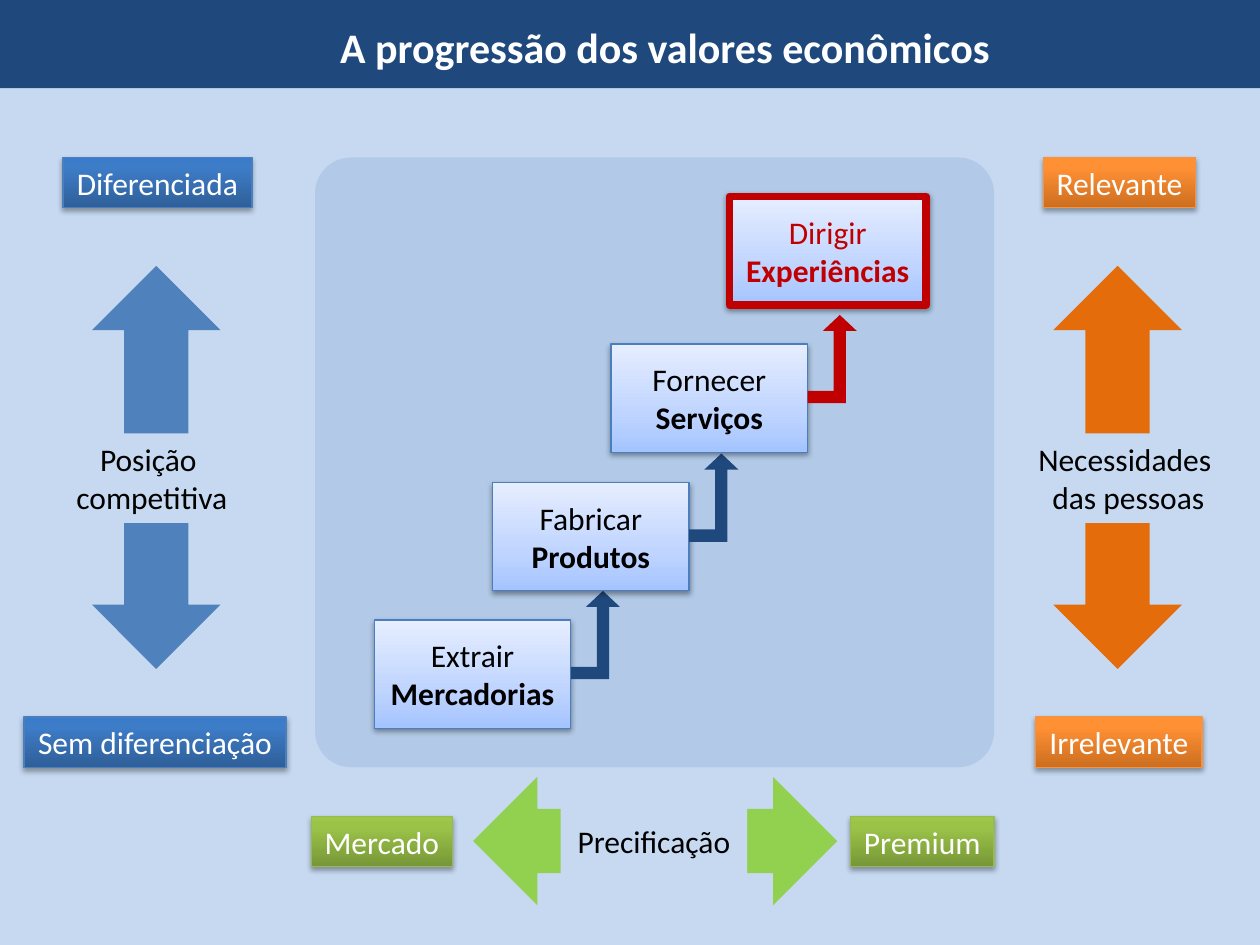
from copy import deepcopy
from dataclasses import dataclass

from lxml import etree
from pptx import Presentation
from pptx.dml.color import RGBColor
from pptx.enum.shapes import MSO_SHAPE as Preset
from pptx.enum.text import MSO_ANCHOR as Anchor, MSO_AUTO_SIZE as AutoSize, PP_ALIGN as Align
from pptx.oxml.ns import qn
from pptx.util import Inches, Pt


@dataclass(frozen=True)
class Theme:
    font: str = "Calibri"
    body_size: float = 18
    title_size: float = 24
    background: str = "C6D9F1"
    navy: str = "1F497D"
    blue: str = "4F81BD"
    green: str = "92D050"
    orange: str = "E46C0A"
    red: str = "C00000"
    black: str = "000000"
    white: str = "FFFFFF"
    step_line: str = "4B7EBC"
    # Gradient stops run from the bottom edge to the top edge
    step_stops: tuple = ((0, "A4C4FF"), (0.35, "BFD4FF"), (1, "E6EEFF"))
    blue_stops: tuple = ((0, "2F5F99"), (0.8, "3D7CC7"), (1, "3A7CCB"))
    green_stops: tuple = ((0, "779737"), (0.8, "9BC348"), (1, "9DC746"))
    orange_stops: tuple = ((0, "CC6E20"), (0.8, "FF9034"), (1, "FF9136"))
    green_line: str = "98B955"
    orange_line: str = "F69240"


THEME = Theme()


def rgb(color):
    return RGBColor.from_string(color)


def add_flat(slide, preset, box, color, adjustments=()):
    """Add a preset shape with a plain fill, no line and no shadow."""
    shape = slide.shapes.add_shape(preset, *map(Inches, box))
    shape.shadow.inherit = False
    shape.fill.solid()
    shape.fill.fore_color.rgb = rgb(color)
    shape.line.fill.background()
    for index, value in enumerate(adjustments):
        shape.adjustments[index] = value
    return shape


def set_opacity(shape, share):
    color = shape.element.spPr.find(qn("a:solidFill"))[0]
    etree.SubElement(color, qn("a:alpha"), val=str(int(share * 100000)))


def set_gradient(shape, stops):
    fill = shape.fill
    fill.gradient()
    stop_list = shape.element.spPr.find(qn("a:gradFill")).find(qn("a:gsLst"))
    while len(stop_list) < len(stops):
        stop_list.append(deepcopy(stop_list[-1]))
    for stop, (position, color) in zip(fill.gradient_stops, stops):
        stop.position = position
        stop.color.rgb = rgb(color)
    fill.gradient_angle = 90


def add_shadow(shape, opacity, distance):
    effects = shape.element.spPr.find(qn("a:effectLst"))
    shadow = etree.SubElement(
        effects, qn("a:outerShdw"), blurRad=str(Pt(3.1)), dist=str(Pt(distance)),
        dir="5400000", rotWithShape="0")
    color = etree.SubElement(shadow, qn("a:srgbClr"), val=THEME.black)
    etree.SubElement(color, qn("a:alpha"), val=str(opacity * 1000))


def write(shape, lines, color, size=THEME.body_size, align=Align.CENTER, wrap=False):
    """Write one paragraph for each (text, bold) line."""
    frame = shape.text_frame
    frame.word_wrap = wrap
    frame.auto_size = AutoSize.NONE
    frame.vertical_anchor = Anchor.MIDDLE
    for index, (text, bold) in enumerate(lines):
        paragraph = frame.add_paragraph() if index else frame.paragraphs[0]
        paragraph.alignment = align
        run = paragraph.add_run()
        run.text = text
        run.font.name = THEME.font
        run.font.size = Pt(size)
        run.font.bold = bold
        run.font.color.rgb = rgb(color)


def add_raised(slide, box, stops, line_color, line_width, shadow):
    """Add a rectangle with a gradient, a line and a soft shadow."""
    shape = add_flat(slide, Preset.RECTANGLE, box, THEME.white)
    set_gradient(shape, stops)
    shape.line.color.rgb = rgb(line_color)
    shape.line.width = Pt(line_width)
    add_shadow(shape, *shadow)
    return shape


def add_axis(slide, arrow_box, rotation, color, caption_box, caption, stops, line_color, ends):
    """Add a double arrow, the caption across it and a label at each end."""
    arrow = add_flat(slide, Preset.UP_DOWN_ARROW, arrow_box, color)
    arrow.rotation = rotation
    mask = add_flat(slide, Preset.RECTANGLE, caption_box, THEME.background)
    write(mask, [(line, False) for line in caption], THEME.black)
    for text, left, top, width in ends:
        label = add_raised(slide, (left, top, width, 0.4), stops, line_color, 0.75, (35, 1.8))
        write(label, [(text, False)], THEME.white)


def add_steps(slide):
    """Add the staircase of boxes, each joined to the next by a bent arrow."""
    width, height, pitch = 1.56, 0.86, 0.94
    steps = [
        ("Extrair", "Mercadorias", 4.92),
        ("Fabricar", "Produtos", 3.83),
        ("Fornecer", "Serviços", 2.73),
        ("Dirigir", "Experiências", 1.56),
    ]
    last = len(steps) - 1
    for index, (verb, offer, top) in enumerate(steps):
        left = 2.97 + index * pitch
        final = index == last
        line_color, line_width = (THEME.red, 4.5) if final else (THEME.step_line, 0.75)
        box = add_raised(slide, (left, top, width, height), THEME.step_stops,
                         line_color, line_width, (38, 1.6))
        write(box, [(verb, False), (offer, True)], THEME.red if final else THEME.black, wrap=True)
        if not final:
            color = THEME.red if index == last - 1 else THEME.navy
            add_flat(slide, Preset.BENT_UP_ARROW, (left + width, top - 0.23, 0.39, 0.7),
                     color, (0.25, 0.346, 0.326))


def place_title(slide, text):
    title = slide.shapes.title
    title.left, title.top, title.width, title.height = map(Inches, (2.6, 0.12, 5.42, 0.5))
    write(title, [(text, True)], THEME.white, THEME.title_size, Align.LEFT)
    # Bring the title in front of the header band
    slide.shapes.element.append(title.element)


def main():
    presentation = Presentation()
    presentation.slide_width, presentation.slide_height = Inches(10), Inches(7.5)
    slide = presentation.slides.add_slide(presentation.slide_layouts[5])
    slide.background.fill.solid()
    slide.background.fill.fore_color.rgb = rgb(THEME.background)

    # Central panel and header
    panel = add_flat(slide, Preset.ROUNDED_RECTANGLE, (2.5, 1.25, 5.39, 4.84), THEME.blue, (0.059,))
    set_opacity(panel, 0.16)
    add_flat(slide, Preset.RECTANGLE, (0, 0, 10, 0.7), THEME.navy)

    # Competitive position, pricing and people's needs
    add_axis(slide, (0.73, 2.11, 1.02, 3.2), 0, THEME.blue,
             (0.5, 3.44, 1.41, 0.71), ("Posição ", "competitiva"),
             THEME.blue_stops, THEME.step_line,
             [("Diferenciada", 0.5, 1.25, 1.5), ("Sem diferenciação", 0.19, 5.69, 2.08)])
    add_axis(slide, (4.69, 5.23, 1.02, 2.89), 90, THEME.green,
             (4.45, 6.17, 1.48, 1.01), ("Precificação",),
             THEME.green_stops, THEME.green_line,
             [("Mercado", 2.47, 6.48, 1.12), ("Premium", 6.75, 6.48, 1.14)])
    add_axis(slide, (8.36, 2.11, 1.02, 3.2), 0, THEME.orange,
             (8.13, 3.44, 1.65, 0.71), ("Necessidades ", "das pessoas"),
             THEME.orange_stops, THEME.orange_line,
             [("Irrelevante", 8.22, 5.69, 1.32), ("Relevante", 8.28, 1.25, 1.21)])

    # Progression of value
    add_steps(slide)
    place_title(slide, "A progressão dos valores econômicos")
    presentation.save("out.pptx")


if __name__ == "__main__":
    main()
